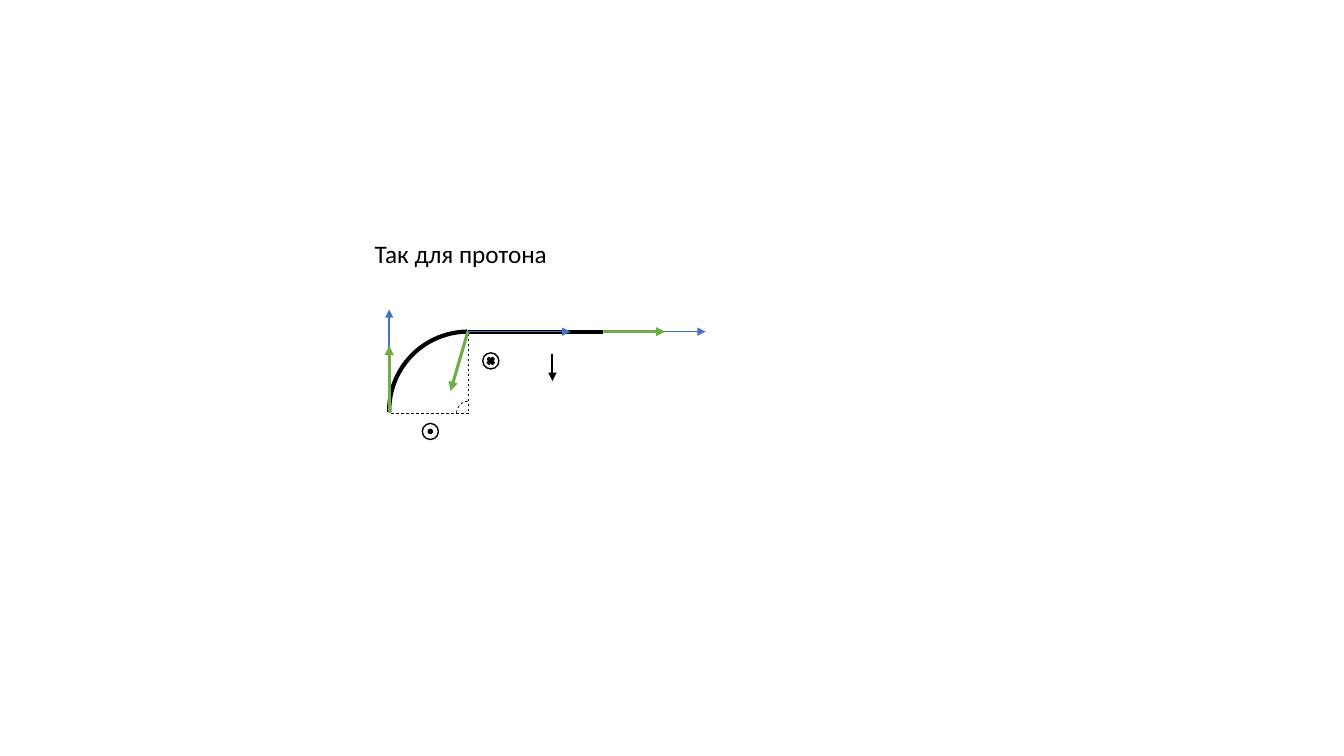
import pptx
import pptx.util
import pptx.dml.color
import pptx.enum.dml
import pptx.enum.shapes
import pptx.enum.text
import pptx.oxml.ns
from lxml import etree

Pt = pptx.util.Pt
RGB = pptx.dml.color.RGBColor
SHAPE = pptx.enum.shapes.MSO_SHAPE
DASH = pptx.enum.dml.MSO_LINE.DASH
qn = pptx.oxml.ns.qn

THEME = {
    "black": RGB(0x00, 0x00, 0x00),
    "white": RGB(0xFF, 0xFF, 0xFF),
    "blue": RGB(0x44, 0x72, 0xC4),
    "green": RGB(0x70, 0xAD, 0x47),
    "font": "Calibri",
    "size": 18,
}

prs = pptx.Presentation()
prs.slide_width, prs.slide_height = Pt(960), Pt(540)
s = prs.slides.add_slide(prs.slide_layouts[6])


def add_line(start, end, color, width, arrow=False, dash=None):
    ln = s.shapes.add_connector(
        pptx.enum.shapes.MSO_CONNECTOR.STRAIGHT, *map(Pt, start + end))
    ln.line.color.rgb = THEME[color]
    ln.line.width = Pt(width)
    if dash:
        ln.line.dash_style = dash
    if arrow:
        etree.SubElement(ln.line._get_or_add_ln(), qn("a:tailEnd"), type="triangle")
    etree.SubElement(ln._element.spPr, qn("a:effectLst"))


def add_figure(kind, center, size, width, fill=None, angles=(), dash=None):
    x, y = center
    sp = s.shapes.add_shape(
        kind, Pt(x - size / 2), Pt(y - size / 2), Pt(size), Pt(size))
    sp.shadow.inherit = False
    for i, angle in enumerate(angles):
        sp.adjustments[i] = angle
    if fill:
        sp.fill.solid()
        sp.fill.fore_color.rgb = THEME[fill]
    else:
        sp.fill.background()
    sp.line.color.rgb = THEME["black"]
    sp.line.width = Pt(width)
    if dash:
        sp.line.dash_style = dash


entry = (278, 295.2)
exit_ = (334.2, 236.9)
corner = (334.8, 295.2)
track_end = (430.6, 236.9)
field_out = (307.4, 308.2)
field_in = (350.6, 257.8)

add_line(entry, (278, 221), "blue", 1, arrow=True)
add_figure(SHAPE.ARC, (334.5, 293.4), 113, 3, angles=(107.316, 161.69))
add_figure(SHAPE.OVAL, field_out, 11.5, 1, fill="white")
add_figure(SHAPE.OVAL, field_out, 2.9, 1, fill="black")
add_line(entry, (278, 247), "green", 2.25, arrow=True)
add_line((334.8, 238.3), corner, "black", 0.5, dash=DASH)
add_line(corner, entry, "black", 0.5, dash=DASH)
add_figure(SHAPE.ARC, corner, 17.3, 0.5, angles=(108.854, 162.153), dash=DASH)
add_line(exit_, track_end, "black", 3)
add_line(exit_, (407.5, 236.9), "blue", 1, arrow=True)
add_figure(SHAPE.OVAL, field_in, 11.5, 1, fill="white")
add_figure(SHAPE.MATH_MULTIPLY, field_in, 7.2, 1, fill="black")
add_line((394.6, 252.7), (394.6, 272.2), "black", 1.5, arrow=True)
add_line(track_end, (504, 236.9), "blue", 1, arrow=True)
add_line(track_end, (475.2, 236.9), "green", 2.25, arrow=True)

tb = s.shapes.add_textbox(Pt(260.6), Pt(167), Pt(139), Pt(29))
tf = tb.text_frame
tf.word_wrap = False
tf.auto_size = pptx.enum.text.MSO_AUTO_SIZE.SHAPE_TO_FIT_TEXT
p = tf.paragraphs[0]
p.text = "Так для протона"
p.font.name = THEME["font"]
p.font.size = Pt(THEME["size"])
p.font.color.rgb = THEME["black"]

add_line(exit_, (321.8, 279.4), "green", 2.25, arrow=True)

prs.save("out.pptx")
